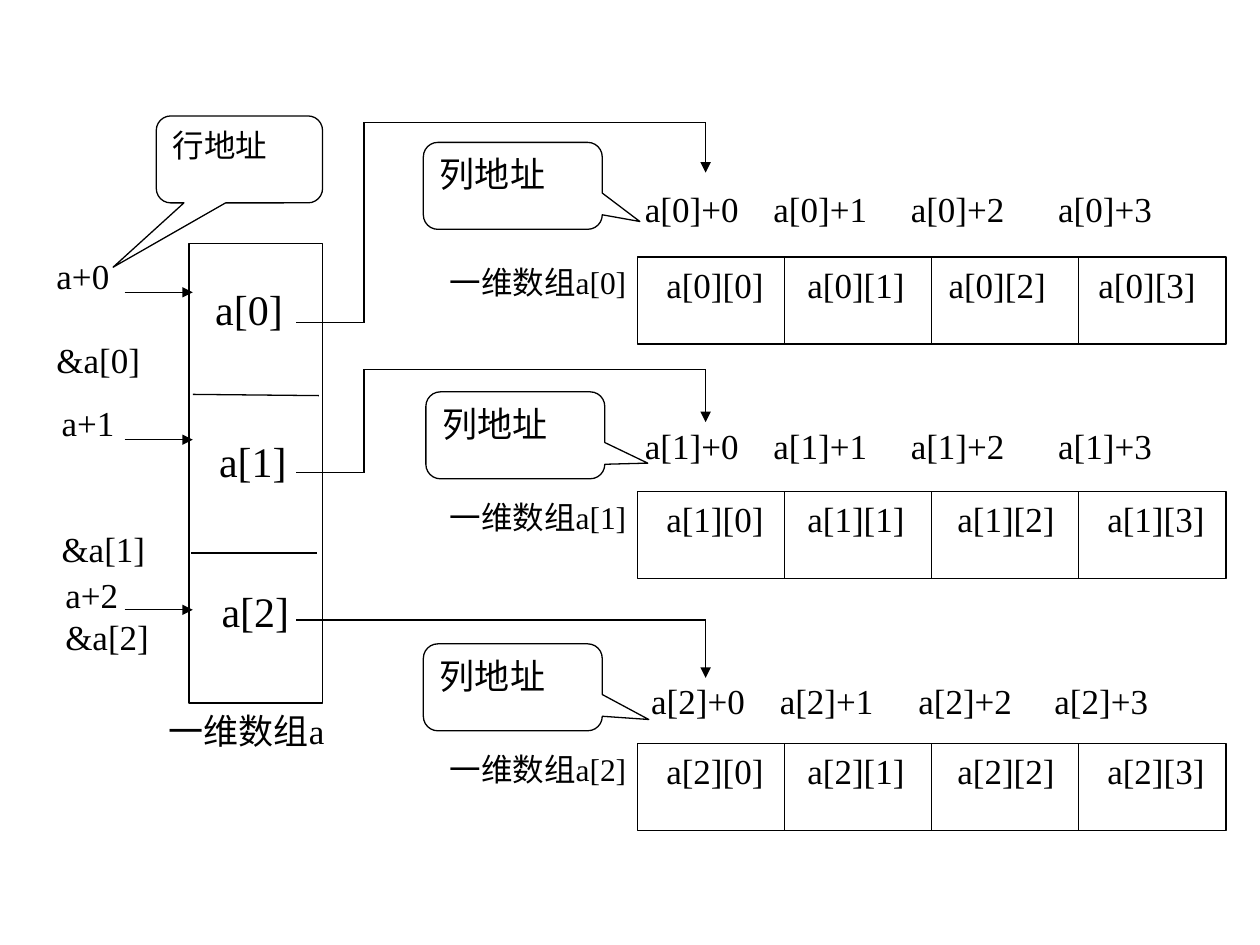
import dataclasses
import itertools

import pptx
import pptx.dml.color
import pptx.enum.shapes
import pptx.enum.text
import pptx.oxml
import pptx.oxml.ns
import pptx.util
from pptx.util import Inches


@dataclasses.dataclass(frozen=True)
class Theme:
    font: str = "Times New Roman"
    ink: pptx.dml.color.RGBColor = pptx.dml.color.RGBColor(0, 0, 0)
    paper: pptx.dml.color.RGBColor = pptx.dml.color.RGBColor(255, 255, 255)
    line: float = 0.75
    small: int = 18
    normal: int = 20
    large: int = 24


THEME = Theme()
SHAPES = pptx.enum.shapes.MSO_SHAPE
COLUMNS = 4
ROW_LEFT, ROW_WIDTH, ROW_HEIGHT = 5.06, 4.67, 0.69
COLUMN_WIDTH = ROW_WIDTH / COLUMNS
ARROW_X = 5.6


@dataclasses.dataclass(frozen=True)
class Row:
    top: float
    cell_tabs: tuple
    address_at: tuple
    address_tabs: tuple
    callout_at: tuple
    callout_tip: tuple
    name_at: tuple
    route: tuple


ROWS = (
    Row(2.04, (0.13, 1.25, 2.37, 3.56), (5.02, 1.44), (1.02, 2.11, 3.28),
        (3.36, 1.13), (0.71, 0.41), (1.61, 2.2),
        ((2.35, 2.56), (2.89, 2.56), (2.89, 0.97), (ARROW_X, 0.97), (ARROW_X, 1.37))),
    Row(3.9, (0.13, 1.25, 2.44, 3.63), (5.02, 3.32), (1.02, 2.11, 3.28),
        (3.38, 3.11), (0.74, 0.32), (1.64, 3.41),
        ((2.35, 3.75), (2.89, 3.75), (2.89, 2.93), (ARROW_X, 2.93), (ARROW_X, 3.35))),
    Row(5.9, (0.13, 1.25, 2.44, 3.63), (5.07, 5.34), (1.02, 2.12, 3.2),
        (3.36, 5.11), (0.76, 0.37), (1.66, 4.6),
        ((2.35, 4.92), (ARROW_X, 4.92), (ARROW_X, 5.38))),
)

ROW_ADDRESSES = (
    (0.35, 1.97, 24, 2.32),
    (0.39, 3.14, 48, 3.49),
    (0.42, 4.5, 0, 4.84),
)


def set_tabs(para, stops):
    tab_list = pptx.oxml.parse_xml(f"<a:tabLst {pptx.oxml.ns.nsdecls('a')}/>")
    for stop in stops:
        tab = tab_list.makeelement(pptx.oxml.ns.qn("a:tab"), pos=str(Inches(stop)), algn="l")
        tab_list.append(tab)
    para._p.get_or_add_pPr().append(tab_list)


def write(box, lines, size, tabs=(), gap=0):
    frame = box.text_frame
    frame.word_wrap = True
    frame.vertical_anchor = pptx.enum.text.MSO_ANCHOR.TOP
    for index, line in enumerate(lines):
        para = frame.add_paragraph() if index else frame.paragraphs[0]
        para.text = line
        para.alignment = pptx.enum.text.PP_ALIGN.JUSTIFY
        if index:
            para.space_before = pptx.util.Pt(gap)
        if tabs:
            set_tabs(para, tabs)
        para.font.name = THEME.font
        para.font.size = pptx.util.Pt(size)
        para.font.color.rgb = THEME.ink


def add_label(page, left, top, width, height, lines, size, tabs=(), gap=0):
    box = page.shapes.add_textbox(Inches(left), Inches(top), Inches(width), Inches(height))
    write(box, lines, size, tabs, gap)


def add_frame(page, kind, left, top, width, height, filled=True):
    box = page.shapes.add_shape(kind, Inches(left), Inches(top), Inches(width), Inches(height))
    box.shadow.inherit = False
    if filled:
        box.fill.solid()
        box.fill.fore_color.rgb = THEME.paper
    else:
        box.fill.background()
    box.line.color.rgb = THEME.ink
    box.line.width = pptx.util.Pt(THEME.line)
    return box


def add_callout(page, left, top, width, tip, text, size):
    box = add_frame(page, SHAPES.ROUNDED_RECTANGULAR_CALLOUT, left, top, width, ROW_HEIGHT)
    box.adjustments[0], box.adjustments[1] = tip
    write(box, [text], size)


def add_line(page, start, end, arrow=False):
    line = page.shapes.add_connector(
        pptx.enum.shapes.MSO_CONNECTOR.STRAIGHT, *map(Inches, start + end))
    line.line.color.rgb = THEME.ink
    line.line.width = pptx.util.Pt(THEME.line)
    if arrow:
        outline = line.line._get_or_add_ln()
        outline.append(outline.makeelement(pptx.oxml.ns.qn("a:tailEnd"), type="triangle"))
    properties = line._element.spPr
    properties.append(properties.makeelement(pptx.oxml.ns.qn("a:effectLst")))


def add_route(page, points):
    for start, end in itertools.pairwise(points):
        add_line(page, start, end, arrow=end == points[-1])


def add_array_row(page, index, row):
    cells = add_frame(page, SHAPES.RECTANGLE, ROW_LEFT, row.top, ROW_WIDTH, ROW_HEIGHT)
    text = "".join(f"\ta[{index}][{column}]" for column in range(COLUMNS))
    write(cells, [text], THEME.normal, row.cell_tabs)
    for column in range(1, COLUMNS):
        x = ROW_LEFT + column * COLUMN_WIDTH
        add_line(page, (x, row.top), (x, row.top + ROW_HEIGHT))
    add_callout(page, *row.callout_at, 1.42, row.callout_tip, "列地址", THEME.normal)
    addresses = "\t".join(f"a[{index}]+{column}" for column in range(COLUMNS))
    add_label(page, *row.address_at, 4.51, ROW_HEIGHT, [addresses], THEME.normal,
              row.address_tabs)
    add_label(page, 3.47, row.top, 1.86, ROW_HEIGHT, [f"一维数组a[{index}]"], THEME.small)
    add_label(page, *row.name_at, 1.08, ROW_HEIGHT, [f"a[{index}]"], THEME.large)
    add_route(page, row.route)


def add_row_address(page, index, left, top, gap, arrow_y):
    add_label(page, left, top, 1.47, 1.14, [f"a+{index}", f"&a[{index}]"],
              THEME.normal, gap=gap)
    add_line(page, (0.99, arrow_y), (1.53, arrow_y), arrow=True)


def main():
    deck = pptx.Presentation()
    deck.slide_width, deck.slide_height = Inches(10), Inches(7.5)
    page = deck.slides.add_slide(deck.slide_layouts[6])

    add_frame(page, SHAPES.RECTANGLE, 1.5, 1.93, 1.06, 3.65, filled=False)
    add_line(page, (1.53, 3.13), (2.53, 3.14))
    add_line(page, (1.52, 4.39), (2.52, 4.39))
    add_label(page, 1.24, 5.58, 1.47, 0.68, ["一维数组a"], THEME.normal)
    add_callout(page, 1.24, 0.92, 1.32, (-0.76, 1.24), "行地址", THEME.small)

    for index, row in enumerate(ROWS):
        add_array_row(page, index, row)
    for index, address in enumerate(ROW_ADDRESSES):
        add_row_address(page, index, *address)

    deck.save("out.pptx")


if __name__ == "__main__":
    main()
